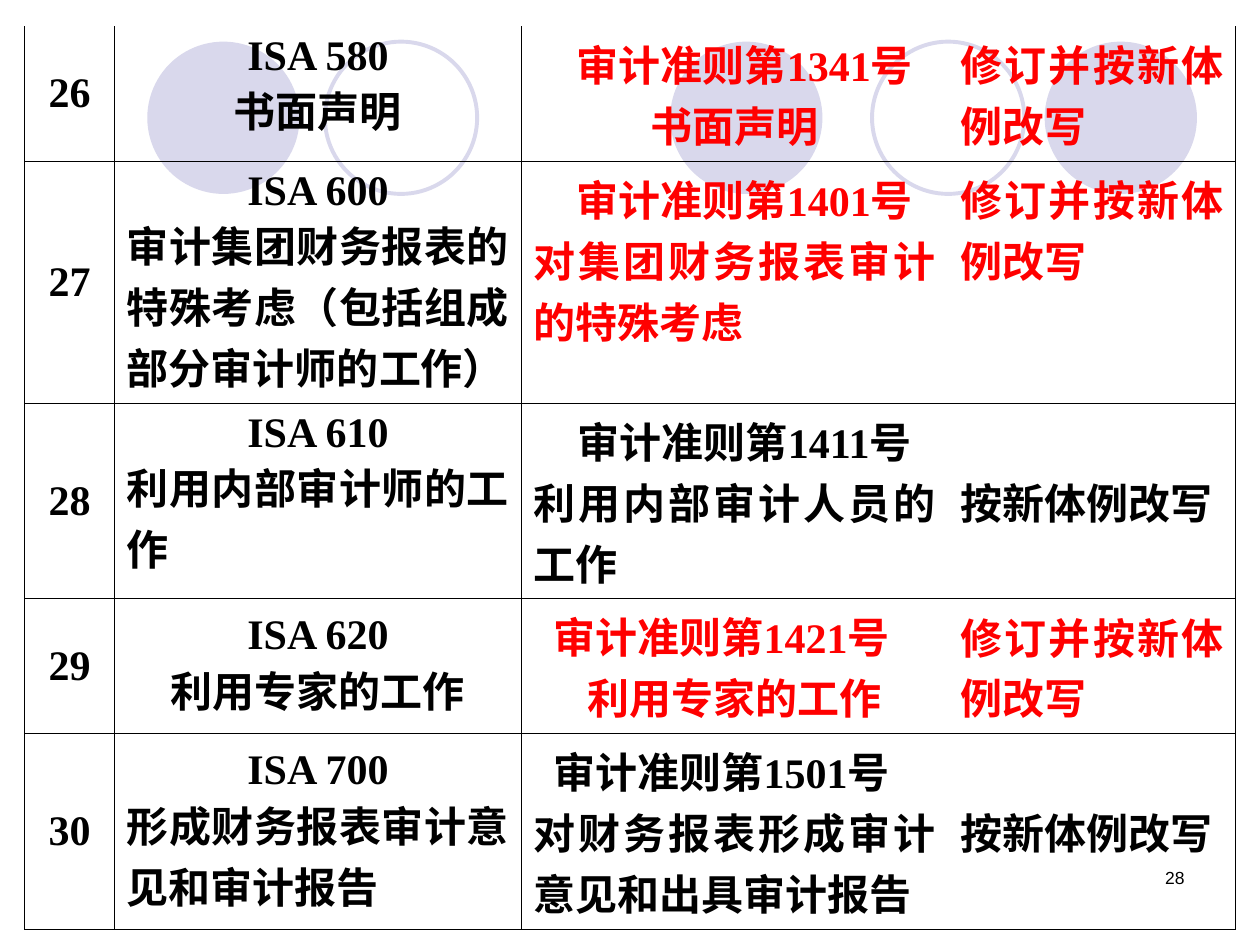
from itertools import groupby

from pptx import Presentation
from pptx.dml.color import RGBColor
from pptx.enum.lang import MSO_LANGUAGE_ID
from pptx.enum.shapes import MSO_SHAPE
from pptx.enum.text import MSO_ANCHOR, PP_ALIGN
from pptx.oxml import parse_xml
from pptx.oxml.ns import nsdecls
from pptx.util import Cm, Pt

BLACK = RGBColor(0x00, 0x00, 0x00)
RED = RGBColor(0xFF, 0x00, 0x00)
LAVENDER = RGBColor(0xD9, 0xD8, 0xEC)
CENTER, JUSTIFY, RIGHT = PP_ALIGN.CENTER, PP_ALIGN.JUSTIFY, PP_ALIGN.RIGHT
TOP, MIDDLE = MSO_ANCHOR.TOP, MSO_ANCHOR.MIDDLE
CHINESE = MSO_LANGUAGE_ID.SIMPLIFIED_CHINESE
OVAL = MSO_SHAPE.OVAL
LATIN_FONT = "Times New Roman"
CHINESE_FONT = "Noto Sans CJK SC"


def write_text(para, text, size=24, bold=True, color=BLACK, align=CENTER,
               latin=LATIN_FONT, indent=0):
    para.alignment = align
    if indent:
        properties = para._p.get_or_add_pPr()
        properties.set("marL", "0")
        properties.set("indent", str(Cm(indent)))
    for is_latin, letters in groupby(text, key=str.isascii):
        span = para.add_run()
        span.text = "".join(letters)
        span.font.size = Pt(size)
        span.font.bold = bold
        span.font.color.rgb = color
        span.font.name = latin if is_latin else CHINESE_FONT
        if not is_latin:
            span.font.language_id = CHINESE
            span.font._element.append(
                parse_xml(f'<a:ea {nsdecls("a")} typeface="{CHINESE_FONT}"/>'))


def set_borders(cell, visible):
    for side in "LRTB":
        if side in visible:
            paint = f'<a:solidFill><a:srgbClr val="{BLACK}"/></a:solidFill>'
        else:
            paint = "<a:noFill/>"
        cell._tc.get_or_add_tcPr().append(parse_xml(
            f'<a:ln{side} {nsdecls("a")} w="{Pt(0.45)}">{paint}</a:ln{side}>'))


deck = Presentation()
deck.slide_width = Cm(25.4)
deck.slide_height = Cm(19.05)
page = deck.slides.add_slide(deck.slide_layouts[6])

circles = [(13.51, True), (21.06, True), (2.97, True), (17.58, False), (6.55, False)]
for left, filled in circles:
    circle = page.shapes.add_shape(OVAL, Cm(left), Cm(0.84), Cm(3.07), Cm(3.07))
    circle.shadow.inherit = False
    if filled:
        circle.fill.solid()
        circle.fill.fore_color.rgb = LAVENDER
        circle.line.fill.background()
    else:
        circle.fill.background()
        circle.line.color.rgb = LAVENDER
        circle.line.width = Pt(2.25)

number_box = page.shapes.add_textbox(Cm(18.21), Cm(17.35), Cm(5.92), Cm(1.27))
number_box.text_frame.word_wrap = True
write_text(number_box.text_frame.paragraphs[0], "28", size=10, bold=False,
           align=RIGHT, latin="Arial")

REVISED, REFORMATTED = "修订并按新体例改写", "按新体例改写"
standards = [
    ("26", "ISA 580", "书面声明", CENTER, TOP,
     "1341", CENTER, "书面声明", CENTER, REVISED, TOP),
    ("27", "ISA 600", "审计集团财务报表的特殊考虑（包括组成部分审计师的工作）", JUSTIFY, TOP,
     "1401", CENTER, "对集团财务报表审计的特殊考虑", JUSTIFY, REVISED, TOP),
    ("28", "ISA 610", "利用内部审计师的工作", JUSTIFY, TOP,
     "1411", CENTER, "利用内部审计人员的工作", JUSTIFY, REFORMATTED, MIDDLE),
    ("29", "ISA 620", "利用专家的工作", CENTER, MIDDLE,
     "1421", JUSTIFY, "利用专家的工作", CENTER, REVISED, MIDDLE),
    ("30", "ISA 700", "形成财务报表审计意见和审计报告", JUSTIFY, MIDDLE,
     "1501", JUSTIFY, "对财务报表形成审计意见和出具审计报告", JUSTIFY, REFORMATTED, MIDDLE),
]
column_widths = [1.81, 8.2, 8.61, 5.79]
row_heights = [2.72, 4.88, 3.94, 2.72, 3.94]

table = page.shapes.add_table(
    len(row_heights), len(column_widths), Cm(0.5), Cm(0.53),
    Cm(sum(column_widths)), Cm(sum(row_heights))).table
table.first_row = False
table.horz_banding = False
for column, width in zip(table.columns, column_widths):
    column.width = Cm(width)
for row, height in zip(table.rows, row_heights):
    row.height = Cm(height)

for index, standard in enumerate(standards):
    (number, isa, isa_title, isa_align, isa_anchor,
     code, code_align, title, title_align, change, change_anchor) = standard
    color = RED if change == REVISED else BLACK
    contents = [
        (MIDDLE, "LR", [(number, {})]),
        (isa_anchor, "LR", [(isa, {}), (isa_title, {"align": isa_align})]),
        (TOP, "L", [
            (f"审计准则第{code}号", {"align": code_align, "color": color, "indent": 0.4}),
            (title, {"align": title_align, "color": color})]),
        (change_anchor, "R", [(change, {"align": JUSTIFY, "color": color})]),
    ]
    for cell, (anchor, sides, lines) in zip(table.rows[index].cells, contents):
        set_borders(cell, sides + ("TB" if index else "B"))
        cell.fill.background()
        cell.vertical_anchor = anchor
        cell.margin_left = cell.margin_right = Cm(0.25)
        cell.margin_top = cell.margin_bottom = Cm(0.13)
        frame = cell.text_frame
        for position, (text, style) in enumerate(lines):
            para = frame.add_paragraph() if position else frame.paragraphs[0]
            write_text(para, text, **style)

deck.save("out.pptx")
